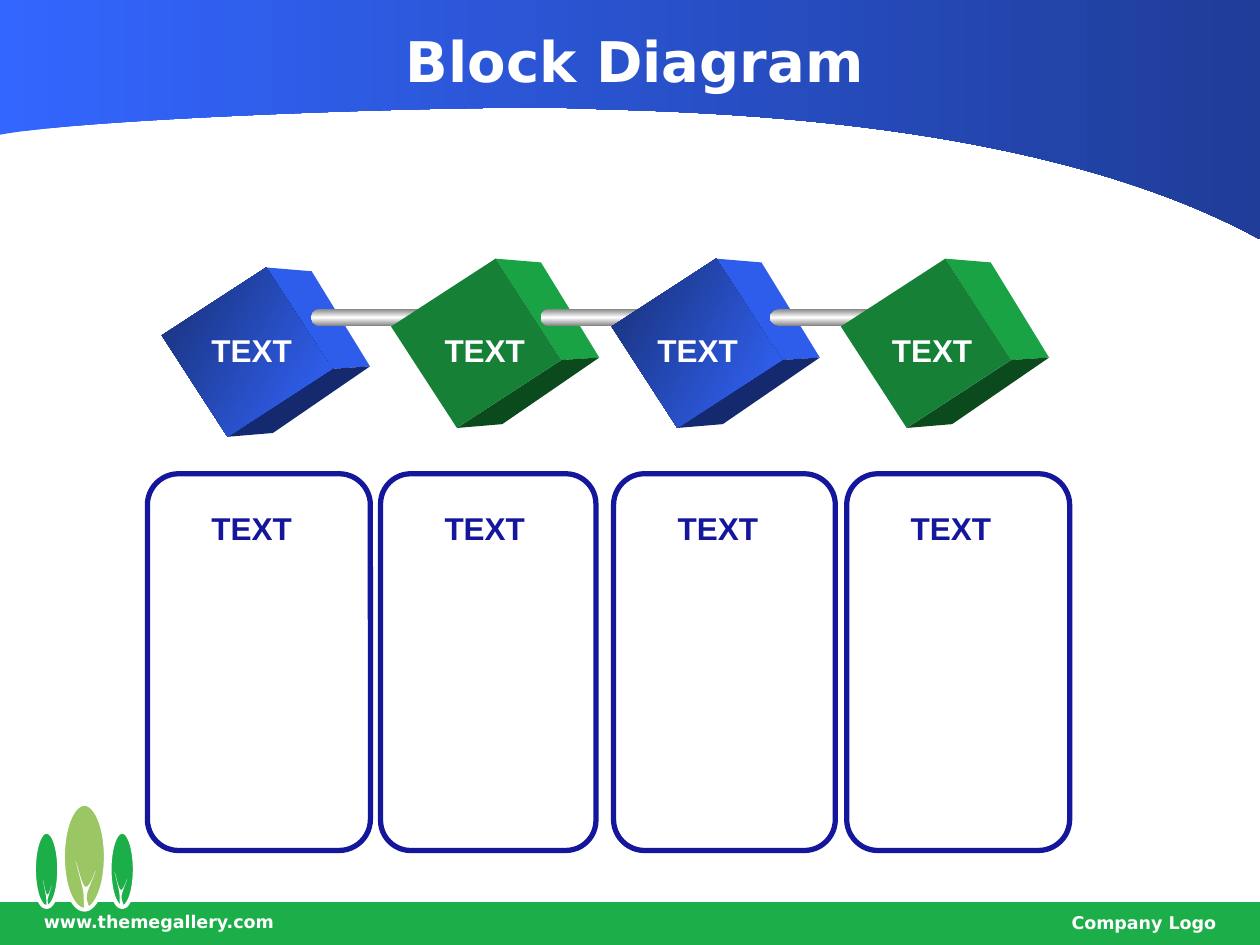
from copy import deepcopy
from dataclasses import dataclass
from math import cos, radians, sin

from lxml.etree import SubElement
from pptx import Presentation
from pptx.dml.color import RGBColor
from pptx.enum.shapes import MSO_SHAPE
from pptx.enum.text import MSO_ANCHOR, MSO_AUTO_SIZE, PP_ALIGN
from pptx.oxml.ns import qn
from pptx.util import Inches, Pt


@dataclass(frozen=True)
class Theme:
    """Colours, fonts and type sizes of the slide."""
    white: str = "FFFFFF"
    navy: str = "14179C"
    green: str = "1CAE49"
    lime: str = "9AC763"
    band: tuple = ("3366FF", "1F3D99")
    rod: tuple = ("7F7F7F", "FFFFFF", "7F7F7F")
    blue_cube: tuple = (("182F74", "3366FF"), "2E5CEB", "152A6E")
    green_cube: tuple = ("158036", "1AA344", "0B4A1D")
    head: str = "DejaVu Sans"
    body: str = "Arial"
    title: int = 32
    label: int = 18
    small: int = 10


THEME = Theme()


def blend(shape, colors, angle):
    """Fill with a gradient of evenly spaced colours."""
    shape.fill.gradient()
    shape.fill.gradient_angle = angle
    stops = shape.element.find(".//" + qn("a:gsLst"))
    while len(stops) < len(colors):
        stops.insert(1, deepcopy(stops[0]))
    for i, (stop, color) in enumerate(zip(shape.fill.gradient_stops, colors)):
        stop.position = i / (len(colors) - 1)
        stop.color.rgb = RGBColor.from_string(color)


def paint(shape, fill=None, angle=0, line=None, width=1):
    """Set a solid, gradient or empty fill, and the outline."""
    shape.shadow.inherit = False
    if fill is None:
        shape.fill.background()
    elif isinstance(fill, str):
        shape.fill.solid()
        shape.fill.fore_color.rgb = RGBColor.from_string(fill)
    else:
        blend(shape, fill, angle)
    if line:
        shape.line.color.rgb = RGBColor.from_string(line)
        shape.line.width = Pt(width)
    else:
        shape.line.fill.background()
    return shape


def add_form(slide, kind, box, fill=None, **style):
    """Add a painted preset shape in a box."""
    shape = slide.shapes.add_shape(kind, *map(Inches, box))
    return paint(shape, fill, **style)


def add_shade(slide, points, fill, curves=0):
    """Add a closed outline whose first point triples are curves."""
    first, *rest = [(Inches(x), Inches(y)) for x, y in points]
    draft = slide.shapes.build_freeform(*first, scale=1.0)
    draft.add_line_segments(rest, close=True)
    shape = draft.convert_to_shape()
    lines = shape.element.findall(".//" + qn("a:lnTo"))
    for i in range(0, 3 * curves, 3):
        parent = lines[i].getparent()
        curve = SubElement(parent, qn("a:cubicBezTo"))
        parent.replace(lines[i], curve)
        for line in lines[i:i + 3]:
            curve.append(line[0])
        for line in lines[i + 1:i + 3]:
            parent.remove(line)
    return paint(shape, fill)


def style_text(frame, text, size, color, font, align=PP_ALIGN.LEFT):
    """Write one bold paragraph."""
    frame.text = text
    para = frame.paragraphs[0]
    para.alignment = align
    para.font.name = font
    para.font.size = Pt(size)
    para.font.bold = True
    para.font.color.rgb = RGBColor.from_string(color)


def add_text(slide, box, *style, wrap=True):
    """Add a text box with one bold paragraph."""
    frame = slide.shapes.add_textbox(*map(Inches, box)).text_frame
    frame.word_wrap = wrap
    if not wrap:
        frame.auto_size = MSO_AUTO_SIZE.SHAPE_TO_FIT_TEXT
    style_text(frame, *style)


def add_label(slide, left, top, color):
    """Add a block or panel label."""
    add_text(slide, (left, top, 0.84, 0.4), "TEXT", THEME.label, color,
             THEME.body, wrap=False)


def draw_head(slide, box):
    """Draw the curved band and place the title on it."""
    left, top, width, height = box
    points = [(0, 1.07), (0.73, 0.93), (3.86, 0.83), (4.57, 0.86),
              (5.29, 0.89), (8.16, 0.89), (10, 1.9), (10, 0), (0, 0)]
    add_shade(slide, [(left + x * width / 10, top + y * height / 1.9)
                      for x, y in points], THEME.band, curves=2)
    title = slide.shapes.title
    title.element.getparent().append(title.element)
    title.left, title.top = Inches(left + 0.5), Inches(top + 0.17)
    title.width, title.height = Inches(9.08), Inches(0.62)
    frame = title.text_frame
    frame.auto_size = MSO_AUTO_SIZE.NONE
    frame.vertical_anchor = MSO_ANCHOR.MIDDLE
    style_text(frame, "Block Diagram", THEME.title, THEME.white, THEME.head,
               PP_ALIGN.CENTER)


def draw_tree(slide, crown, color, trunk):
    """Draw a crown and its forked trunk in the given boxes."""
    add_form(slide, MSO_SHAPE.OVAL, crown, color, line=THEME.white, width=2.25)
    left, top, width, height = trunk
    points = [(0, 0), (0, 0.02), (0.31, 0.44), (0.38, 0.59),
              (0.44, 0.76), (0.38, 0.9), (0.44, 0.95),
              (0.5, 1), (0.63, 0.98), (0.69, 0.93),
              (0.69, 0.88), (0.5, 0.78), (0.56, 0.66),
              (0.63, 0.54), (1, 0.22), (1, 0.2),
              (1, 0.17), (0.69, 0.54), (0.5, 0.51),
              (0.31, 0.49), (0.13, 0.12), (0, 0)]
    add_shade(slide, [(left + x * width, top + y * height)
                      for x, y in points], THEME.white, curves=7)


def draw_foot(slide, box):
    """Draw the bottom bar with its trees and two lines of text."""
    left, top, width, _ = box
    add_form(slide, MSO_SHAPE.RECTANGLE, box, THEME.green)
    trees = [((0.27, -0.56, 0.2, 0.6), THEME.green, (0.34, -0.18, 0.07, 0.24)),
             ((0.5, -0.78, 0.34, 0.84), THEME.lime, (0.6, -0.33, 0.16, 0.41)),
             ((0.87, -0.56, 0.2, 0.6), THEME.green, (0.91, -0.24, 0.1, 0.28))]
    for crown, color, trunk in trees:
        crown, trunk = [(left + x, top + y, w, h)
                        for x, y, w, h in (crown, trunk)]
        draw_tree(slide, crown, color, trunk)
    style = (THEME.small, THEME.white, THEME.head)
    add_text(slide, (left + 0.25, top + 0.02, 2.92, 0.25),
             "www.themegallery.com", *style)
    add_text(slide, (left + width - 3.42, top + 0.03, 3.17, 0.23),
             "Company Logo", *style, PP_ALIGN.RIGHT)


def draw_cube(slide, box, colors):
    """Draw a turned face with two sides behind it."""
    left, top, width, height = box
    front, side, base = colors
    turn = 57
    c, s = cos(radians(turn)), sin(radians(turn))
    mid_x, mid_y = left + width / 2, top + height / 2
    peak, near, foot = [
        (mid_x + (i * width * c - j * height * s) / 2,
         mid_y + (i * width * s + j * height * c) / 2)
        for i, j in ((-1, -1), (1, -1), (1, 1))]
    back, far, low = [(x + dx, y + dy) for (x, y), (dx, dy) in zip(
        (peak, near, foot), ((0.36, 0.03), (0.3, -0.02), (0.36, -0.03)))]
    add_shade(slide, [peak, back, far, near], side)
    add_shade(slide, [near, far, low, foot], base)
    face = add_form(slide, MSO_SHAPE.RECTANGLE, box, front, angle=27)
    face.rotation = turn


def draw_rod(slide, box, cap):
    """Draw a metal rod with a round left end."""
    left, top, width, height = box
    half = cap / 2
    for kind, x, size in ((MSO_SHAPE.OVAL, left, cap),
                          (MSO_SHAPE.RECTANGLE, left + half, width - half)):
        add_form(slide, kind, (x, top, size, height), THEME.rod, angle=90)


def draw_chain(slide, box):
    """Draw the row of cubes, the rods between them and the labels."""
    left, top, _, _ = box
    cubes = [(0, 0.1, 0.1), (1.82, 0.03, 0.13), (3.57, 0.03, 0.07),
             (5.39, 0.03, 0.11)]
    rods = [(0.99, 0.91, 0.17), (2.81, 0.92, 0.17), (4.63, 1.2, 0.22)]
    for i, (x, drop, _) in enumerate(cubes):
        colors = THEME.green_cube if i % 2 else THEME.blue_cube
        draw_cube(slide, (left + x, top + drop, 0.96, 0.99), colors)
        if i < len(rods):
            start, width, cap = rods[i]
            draw_rod(slide, (left + start, top + 0.25, width, 0.14), cap)
    for x, _, inset in cubes:
        add_label(slide, left + x + inset, top + 0.38, THEME.white)


def draw_panels(slide, box):
    """Draw the row of outlined panels with their headings."""
    left, top, _, height = box
    for i, width in enumerate((1.77, 1.71, 1.76, 1.77)):
        x = left + i * 1.85
        panel = add_form(slide, MSO_SHAPE.ROUNDED_RECTANGLE,
                         (x, top, width, height), line=THEME.navy, width=3)
        panel.adjustments[0] = 0.14
        add_label(slide, x + 0.41, top + 0.23, THEME.navy)


def main():
    """Build and save the slide."""
    deck = Presentation()
    deck.slide_width, deck.slide_height = Inches(10), Inches(7.5)
    slide = deck.slides.add_slide(deck.slide_layouts[5])
    draw_head(slide, (0, 0, 10, 1.9))
    draw_foot(slide, (0, 7.16, 10, 0.34))
    draw_panels(slide, (1.17, 3.76, 7.32, 2.99))
    draw_chain(slide, (1.48, 2.2, 6.35, 1.13))
    deck.save("out.pptx")


if __name__ == "__main__":
    main()
